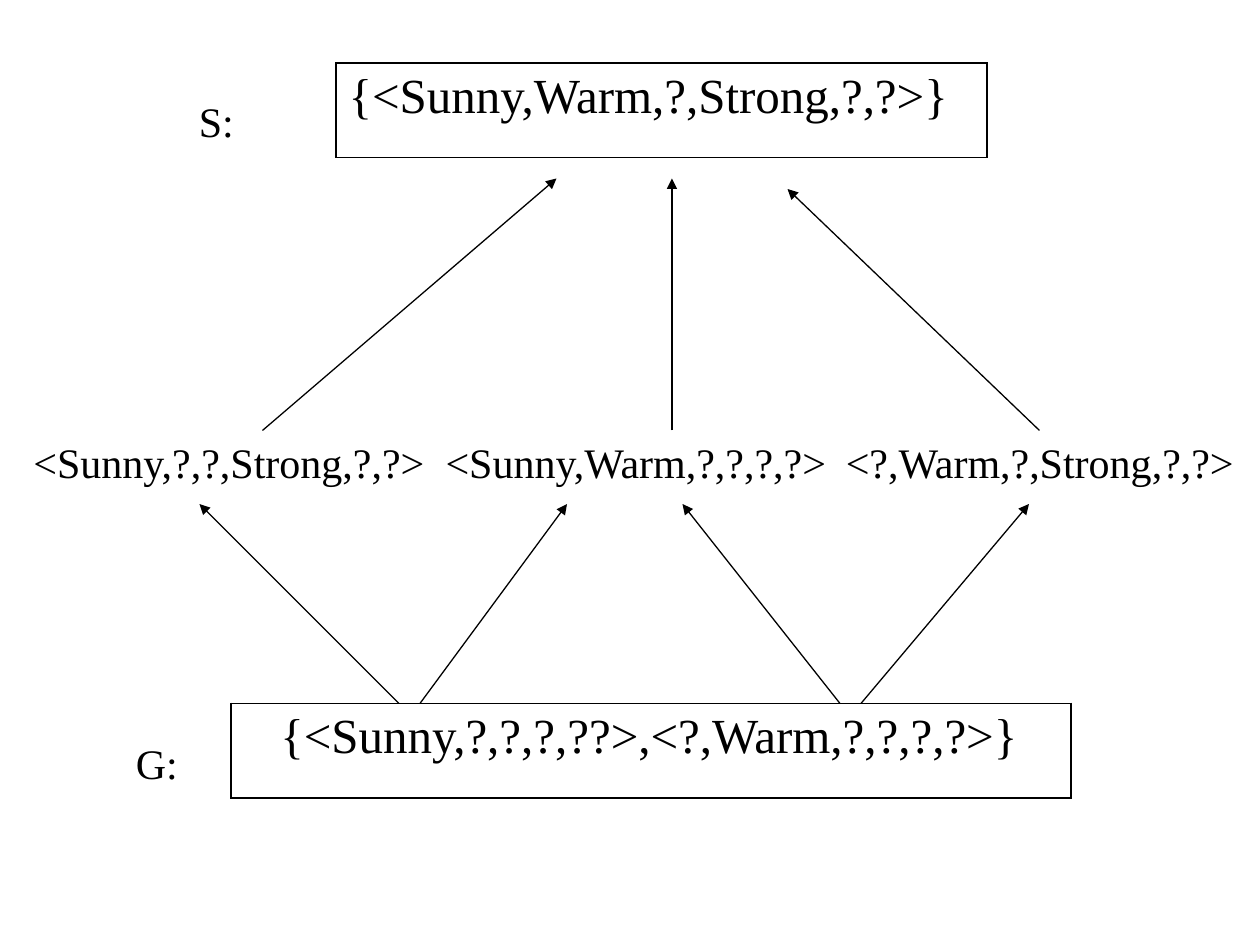
from lxml.etree import SubElement as Sub
from pptx import Presentation
from pptx.dml.color import RGBColor
from pptx.enum.shapes import MSO_CONNECTOR as Link
from pptx.oxml import parse_xml
from pptx.oxml.ns import nsdecls, qn
from pptx.util import Pt

PX = 9525
FONT = "Times New Roman"
INK = "000000"


def px(*nums):
    return [round(n * PX) for n in nums]


def paint(fill, shade):
    fill.solid()
    fill.fore_color.rgb = RGBColor.from_string(shade)


def style(para, size):
    for run in para.runs:
        run.font.name = FONT
        run.font.size = Pt(size)
        paint(run.font.fill, INK)


def edge(cell):
    props = cell._tc.get_or_add_tcPr()
    for spot, side in enumerate("LRTB"):
        props.insert(spot, parse_xml(
            f'<a:ln{side} {nsdecls("a")} w="{Pt(1.08)}"><a:solidFill>'
            f'<a:srgbClr val="{INK}"/></a:solidFill></a:ln{side}>'))


def frame(slide, box, text, inset=0):
    table = slide.shapes.add_table(1, 1, *px(*box)).table
    table.first_row = table.horz_banding = False
    cell = table.cell(0, 0)
    cell.fill.background()
    edge(cell)
    cell.margin_left += px(inset)[0]
    cell.text_frame.text = text
    para = cell.text_frame.paragraphs[0]
    para.space_before = Pt(7)
    style(para, 28)


def label(slide, box, text, wrap=False):
    body = slide.shapes.add_textbox(*px(*box)).text_frame
    body.word_wrap = wrap
    body.text = text
    para = body.paragraphs[0]
    style(para, 24)
    return para


def middle(slide, box, items, stops):
    para = label(slide, box, "\t".join(items), True)
    tabs = Sub(para._p.get_or_add_pPr(), qn("a:tabLst"))
    for stop in stops:
        Sub(tabs, qn("a:tab"), pos=str(px(stop)[0]), algn="l")


def arrow(slide, start, end):
    link = slide.shapes.add_connector(Link.STRAIGHT, *px(*start, *end))
    link.line.width = Pt(0.75)
    paint(link.line.fill, INK)
    props = link._element.spPr
    Sub(props.find(qn("a:ln")), qn("a:tailEnd"), type="triangle")
    Sub(props, qn("a:effectLst"))


def bound(slide, box, text, name, spot, inset=0):
    left, top = box[:2]
    frame(slide, box, text, inset)
    label(slide, (left + spot[0], top + spot[1], *spot[2:]), name)


def main():
    deck = Presentation()
    deck.slide_width, deck.slide_height = px(960, 720)
    slide = deck.slides.add_slide(deck.slide_layouts[6])

    upper = (256, 48, 496, 72)
    row = (16, 328, 944, 48)
    lower = (176, 536, 640, 72)

    bound(slide, lower, "{<Sunny,?,?,?,??>,<?,Warm,?,?,?,?>}", "G:",
          (-82, 21, 51, 48), 28)
    bound(slide, upper, "{<Sunny,Warm,?,Strong,?,?>}", "S:",
          (-114, 20, 46, 48))
    middle(slide, row, ["<Sunny,?,?,Strong,?,?>", "<Sunny,Warm,?,?,?,?>",
                        "<?,Warm,?,Strong,?,?>"], (314, 619))

    for start, end in ((304, 152), (320, 432), (640, 520), (656, 784)):
        arrow(slide, (start, lower[1]), (end, 384))
    for start, end, tip in ((200, 424, 136), (512, 512, 136), (792, 600, 144)):
        arrow(slide, (start, row[1]), (end, tip))

    deck.save("out.pptx")


if __name__ == "__main__":
    main()
